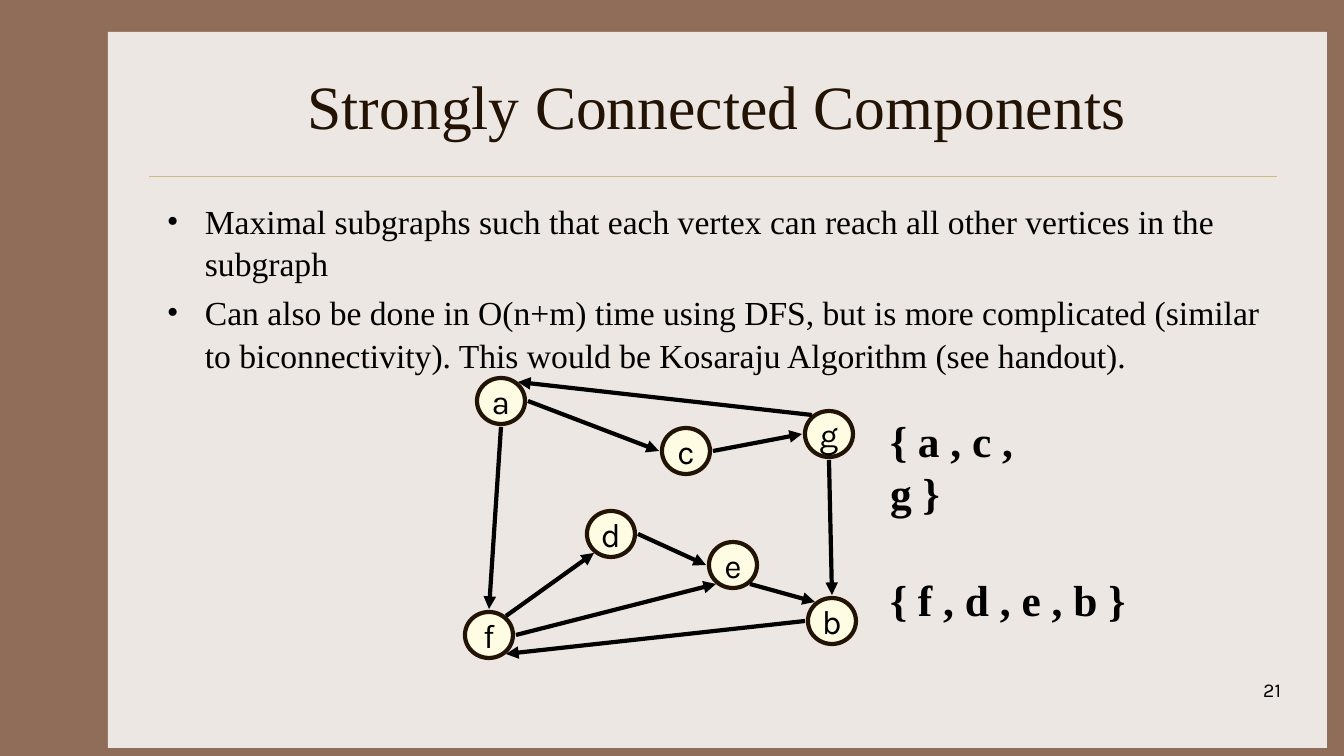
from lxml.etree import SubElement
from pptx import Presentation
from pptx.dml.color import RGBColor
from pptx.enum.shapes import MSO_CONNECTOR, MSO_SHAPE
from pptx.enum.text import MSO_ANCHOR, PP_ALIGN
from pptx.oxml.ns import qn
from pptx.util import Pt

SCALE = 914400 / 100.8
BROWN = RGBColor(0x90, 0x6D, 0x58)
PANEL = RGBColor(0xED, 0xE7, 0xE3)
GOLD = RGBColor(0xCB, 0xBD, 0x83)
DARK = RGBColor(0x22, 0x13, 0x04)
CREAM = RGBColor(0xFE, 0xFD, 0xE3)
BLACK = RGBColor(0, 0, 0)
SERIF, SANS = "Times New Roman", "Karla"

TITLE = "Strongly Connected Components"
POINTS = [
    "Maximal subgraphs such that each vertex can reach all other vertices in the subgraph",
    "Can also be done in O(n+m) time using DFS, but is more complicated (similar to "
    "biconnectivity). This would be Kosaraju Algorithm (see handout).",
]
# Centre of each vertex
NODES = {"a": (501, 401), "d": (611, 534), "c": (686, 451), "b": (832, 621),
         "e": (733, 565), "f": (489, 635), "g": (829, 434)}
# Where an edge meets a vertex, measured from its centre
PORTS = {"N": (0, -26), "S": (0, 26), "W": (-27, 0), "E": (27, 0),
         "NW": (-17, -19), "NE": (17, -19), "SW": (-17, 19), "SE": (17, 19)}
EDGES = [("a", "S", "f", "N"), ("a", "E", "c", "W"), ("g", "NW", "a", "NE"),
         ("c", "E", "g", "W"), ("g", "S", "b", "N"), ("d", "E", "e", "W"),
         ("e", "SE", "b", "NW"), ("f", "NE", "d", "SW"), ("f", "E", "e", "SW"),
         ("b", "W", "f", "SE")]
SETS = [("{ a , c , g }", 414, 183), ("{ f , d , e , b }", 573, 236)]


def px(*sizes):
    """Turn pixels into EMU."""
    return [round(n * SCALE) for n in sizes]


class Canvas:
    def __init__(self, slide):
        self.slide = slide
        self.shapes = slide.shapes

    def back(self, color):
        fill = self.slide.background.fill
        fill.solid()
        fill.fore_color.rgb = color

    def shape(self, kind, box, color):
        item = self.shapes.add_shape(kind, *px(*box))
        item.shadow.inherit = False
        item.fill.solid()
        item.fill.fore_color.rgb = color
        item.line.fill.background()
        return item

    def label(self, par, text, size, face, color=BLACK, bold=False, align=PP_ALIGN.LEFT):
        par.text = text
        par.alignment = align
        font = par.font
        font.size, font.name, font.bold = Pt(size), face, bold
        font.color.rgb = color

    def frame(self, box, wrap=True, pad=None):
        frame = self.shapes.add_textbox(*px(*box)).text_frame
        frame.word_wrap = wrap
        if pad is not None:
            frame.margin_left = frame.margin_right = pad
            frame.margin_top = frame.margin_bottom = pad
        return frame

    def bullets(self, box, points, size):
        frame = self.frame(box)
        for i, point in enumerate(points):
            par = frame.add_paragraph() if i else frame.paragraphs[0]
            props = par._p.get_or_add_pPr()
            indent = px(38)[0]
            props.set("marL", str(indent))
            props.set("indent", str(-indent))
            SubElement(props, qn("a:buFont")).set("typeface", SERIF)
            SubElement(props, qn("a:buChar")).set("char", "•")
            par.line_spacing = 1.05
            par.space_before = Pt(size * 0.2 if i else 0)
            self.label(par, point, size, SERIF)

    def node(self, name, x, y):
        item = self.shape(MSO_SHAPE.OVAL, (x - 24, y - 23, 48, 46), CREAM)
        item.line.color.rgb = DARK
        item.line.width = Pt(3)
        frame = item.text_frame
        frame.word_wrap = False
        frame.vertical_anchor = MSO_ANCHOR.MIDDLE
        self.label(frame.paragraphs[0], name, 24, SANS, align=PP_ALIGN.CENTER)

    def line(self, start, end, color, width, arrow=False):
        item = self.shapes.add_connector(MSO_CONNECTOR.STRAIGHT, *px(*start, *end))
        item.line.color.rgb = color
        item.line.width = Pt(width)
        props = item._element.spPr
        if arrow:
            SubElement(props.find(qn("a:ln")), qn("a:tailEnd")).set("type", "triangle")
        SubElement(props, qn("a:effectLst"))


def port(name, side):
    """Return the point where an edge meets the given side of a vertex."""
    return [n + d for n, d in zip(NODES[name], PORTS[side])]


def main():
    deck = Presentation()
    deck.slide_width, deck.slide_height = px(1344, 756)
    page = Canvas(deck.slides.add_slide(deck.slide_layouts[6]))

    page.back(BROWN)
    page.shape(MSO_SHAPE.RECTANGLE, (108, 32, 1219, 716), PANEL)
    page.line((149, 176), (1277, 176), GOLD, 0.25)

    title = page.frame((157, 42, 1120, 126))
    title.vertical_anchor = MSO_ANCHOR.MIDDLE
    page.label(title.paragraphs[0], TITLE, 44, SERIF, DARK, align=PP_ALIGN.CENTER)
    page.bullets((157, 194, 1120, 454), POINTS, 24)
    number = page.frame((1011, 673, 280, 50))
    page.label(number.paragraphs[0], "21", 14, SANS, align=PP_ALIGN.RIGHT)

    for text, top, width in SETS:
        group = page.frame((890, top, width, 52), wrap=False, pad=0)
        page.label(group.paragraphs[0], text, 31, SERIF, bold=True)
    for name, (x, y) in NODES.items():
        page.node(name, x, y)
    for tail, out, head, into in EDGES:
        page.line(port(tail, out), port(head, into), BLACK, 3, arrow=True)

    deck.save("out.pptx")


if __name__ == "__main__":
    main()
